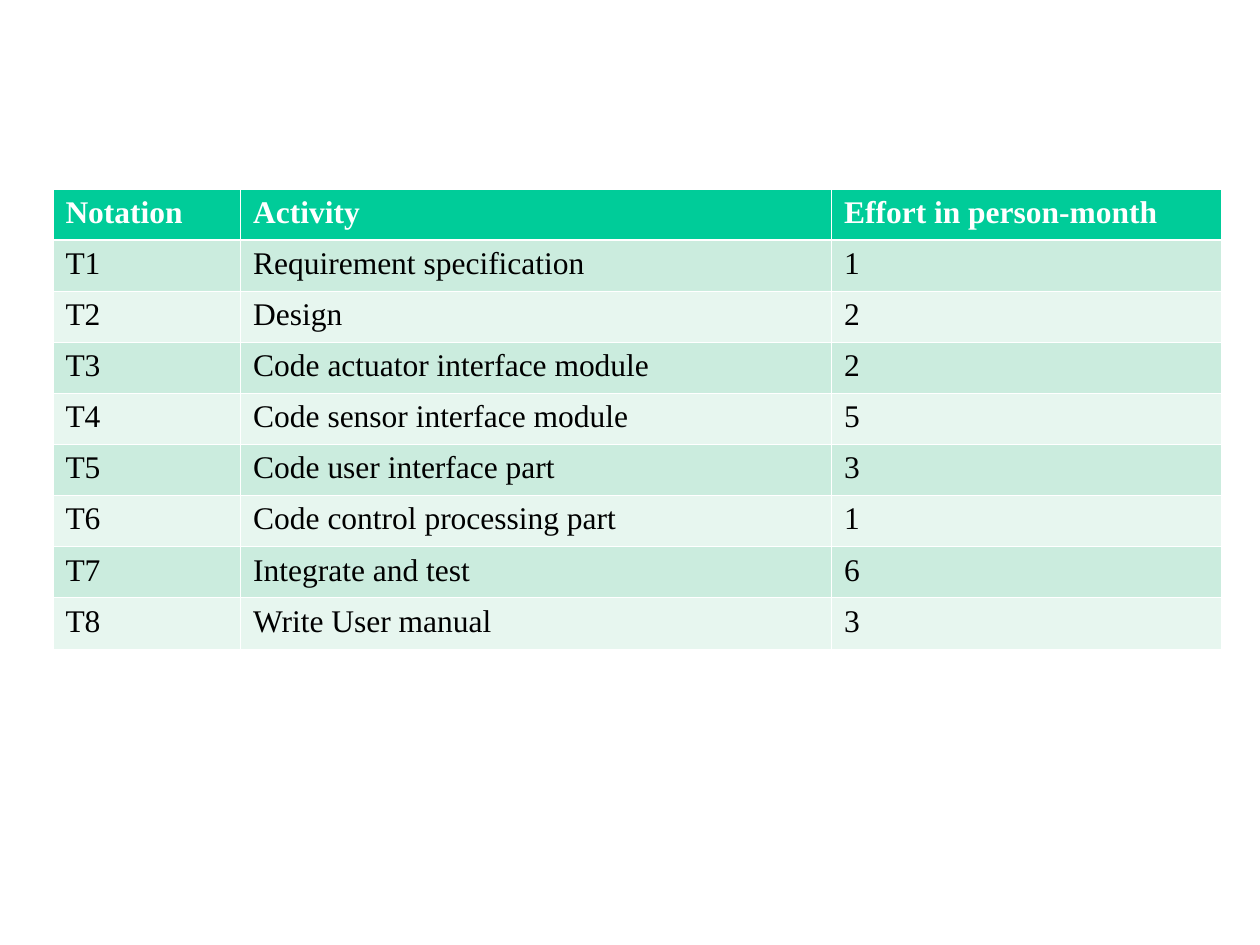
from dataclasses import dataclass

import lxml.etree
import pptx
import pptx.dml.color
import pptx.oxml.ns
import pptx.table
import pptx.util

RGBColor = pptx.dml.color.RGBColor
WHITE = RGBColor(0xFF, 0xFF, 0xFF)
BLACK = RGBColor(0x00, 0x00, 0x00)
HEADER_GREEN = RGBColor(0x00, 0xCC, 0x99)
DARK_BAND = RGBColor(0xCB, 0xEC, 0xDE)
LIGHT_BAND = RGBColor(0xE7, 0xF6, 0xEF)

FONT = "Times New Roman"
THIN, THICK = 0.45, 1.47
LEFT, TOP = 0.42, 1.5
COLUMN_WIDTHS = (1.49, 4.69, 3.09)
TABLE_HEIGHT = 3.65


@dataclass(frozen=True)
class Task:
    activity: str
    effort: int


@dataclass(frozen=True)
class RowStyle:
    fill: RGBColor
    ink: RGBColor = BLACK
    bold: bool = False
    top: float = THIN
    bottom: float = THIN


HEADINGS = ("Notation", "Activity", "Effort in person-month")
TASKS = (
    Task("Requirement specification", 1),
    Task("Design", 2),
    Task("Code actuator interface module", 2),
    Task("Code sensor interface module", 5),
    Task("Code user interface part", 3),
    Task("Code control processing part", 1),
    Task("Integrate and test", 6),
    Task("Write User manual", 3),
)


def row_style(row: int) -> RowStyle:
    if row == 0:
        return RowStyle(HEADER_GREEN, WHITE, bold=True, bottom=THICK)
    return RowStyle(DARK_BAND if row % 2 else LIGHT_BAND,
                    top=THICK if row == 1 else THIN)


def add_border(cell: pptx.table._Cell, side: str, points: float) -> None:
    qn = pptx.oxml.ns.qn
    line = lxml.etree.SubElement(cell._tc.get_or_add_tcPr(), qn(f"a:ln{side}"),
                                 w=str(pptx.util.Pt(points)))
    solid = lxml.etree.SubElement(line, qn("a:solidFill"))
    lxml.etree.SubElement(solid, qn("a:srgbClr"), val=str(WHITE))


def write_cell(cell: pptx.table._Cell, text: str, style: RowStyle) -> None:
    for side, points in (("L", THIN), ("R", THIN),
                         ("T", style.top), ("B", style.bottom)):
        add_border(cell, side, points)
    cell.fill.solid()
    cell.fill.fore_color.rgb = style.fill
    cell.text = text
    font = cell.text_frame.paragraphs[0].font
    font.name = FONT
    font.size = pptx.util.Pt(18)
    font.bold = style.bold
    font.color.rgb = style.ink


def main() -> None:
    inches = pptx.util.Inches
    deck = pptx.Presentation()
    deck.slide_width, deck.slide_height = inches(10), inches(7.5)
    slide = deck.slides.add_slide(deck.slide_layouts.get_by_name("Blank"))

    rows = [HEADINGS] + [(f"T{number}", task.activity, str(task.effort))
                         for number, task in enumerate(TASKS, start=1)]
    effort_table = slide.shapes.add_table(
        len(rows), len(HEADINGS), inches(LEFT), inches(TOP),
        inches(sum(COLUMN_WIDTHS)), inches(TABLE_HEIGHT)).table
    for column, width in zip(effort_table.columns, COLUMN_WIDTHS):
        column.width = inches(width)
    for row, texts in enumerate(rows):
        for column, text in enumerate(texts):
            write_cell(effort_table.cell(row, column), text, row_style(row))

    deck.save("out.pptx")


if __name__ == "__main__":
    main()
